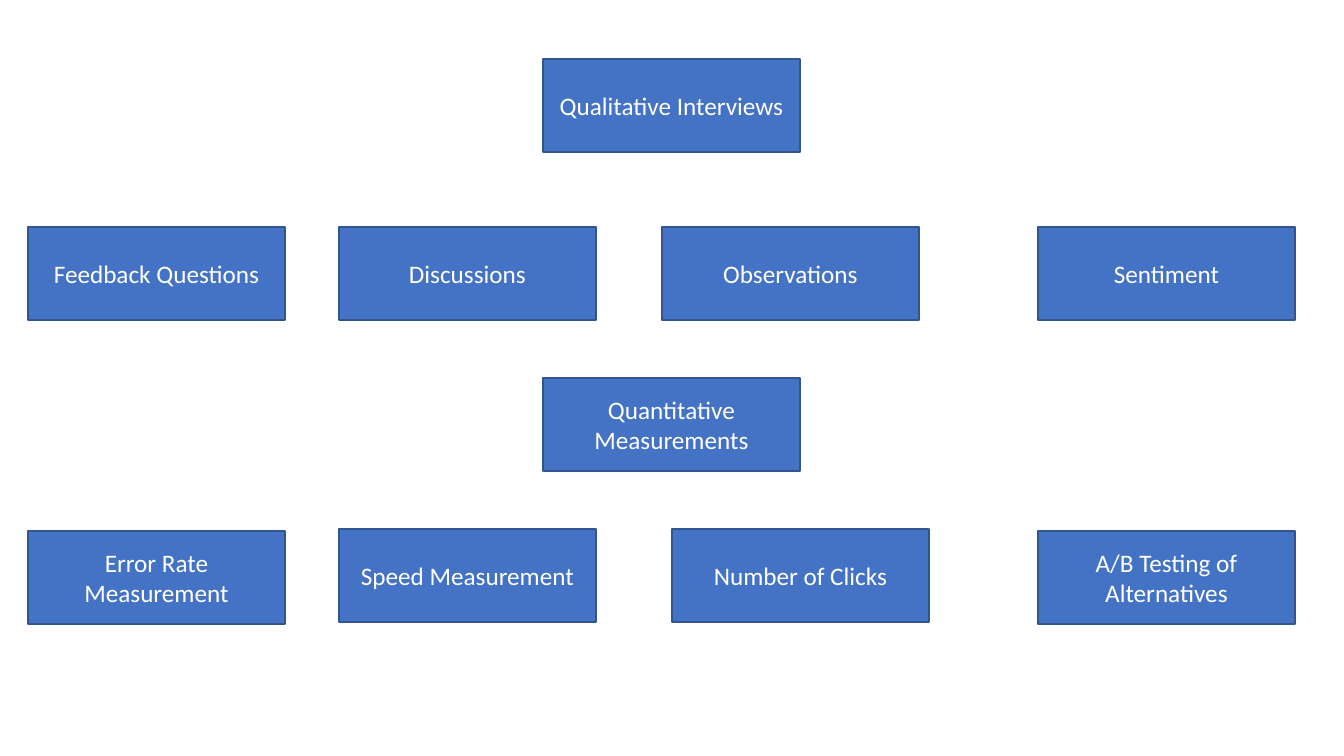
import pptx
import pptx.dml.color
import pptx.enum.shapes
import pptx.enum.text
import pptx.util

PIXEL = pptx.util.Inches(1) / 100.8
SLIDE_WIDTH, SLIDE_HEIGHT = 1344, 756
BOX_WIDTH, BOX_HEIGHT = 257, 93

BLUE = pptx.dml.color.RGBColor(0x44, 0x72, 0xC4)
DARK_BLUE = pptx.dml.color.RGBColor(0x32, 0x54, 0x91)
WHITE = pptx.dml.color.RGBColor(0xFF, 0xFF, 0xFF)

# Each method group: heading, heading top, then (label, left, top) of its methods
GROUPS = [
    ("Qualitative Interviews", 59, [
        ("Feedback Questions", 28, 227),
        ("Discussions", 339, 227),
        ("Observations", 662, 227),
        ("Sentiment", 1038, 227),
    ]),
    ("Quantitative Measurements", 378, [
        ("Error Rate Measurement", 28, 531),
        ("Speed Measurement", 339, 529),
        ("Number of Clicks", 672, 529),
        ("A/B Testing of Alternatives", 1038, 531),
    ]),
]


def px(length):
    return round(length * PIXEL)


def add_box(slide, label, left, top):
    box = slide.shapes.add_shape(
        pptx.enum.shapes.MSO_SHAPE.RECTANGLE,
        px(left), px(top), px(BOX_WIDTH), px(BOX_HEIGHT))
    box.shadow.inherit = False
    box.fill.solid()
    box.fill.fore_color.rgb = BLUE
    box.line.color.rgb = DARK_BLUE
    box.line.width = pptx.util.Pt(1)

    frame = box.text_frame
    frame.word_wrap = True
    frame.vertical_anchor = pptx.enum.text.MSO_ANCHOR.MIDDLE
    para = frame.paragraphs[0]
    para.text = label
    para.alignment = pptx.enum.text.PP_ALIGN.CENTER
    para.font.name = "Calibri"
    para.font.size = pptx.util.Pt(18)
    para.font.color.rgb = WHITE


def main():
    deck = pptx.Presentation()
    deck.slide_width = px(SLIDE_WIDTH)
    deck.slide_height = px(SLIDE_HEIGHT)
    slide = deck.slides.add_slide(deck.slide_layouts[6])

    for heading, heading_top, methods in GROUPS:
        # Heading box, centred on the slide
        add_box(slide, heading, (SLIDE_WIDTH - BOX_WIDTH) // 2, heading_top)
        # Row of methods below it
        for label, left, top in methods:
            add_box(slide, label, left, top)

    deck.save("out.pptx")


main()
